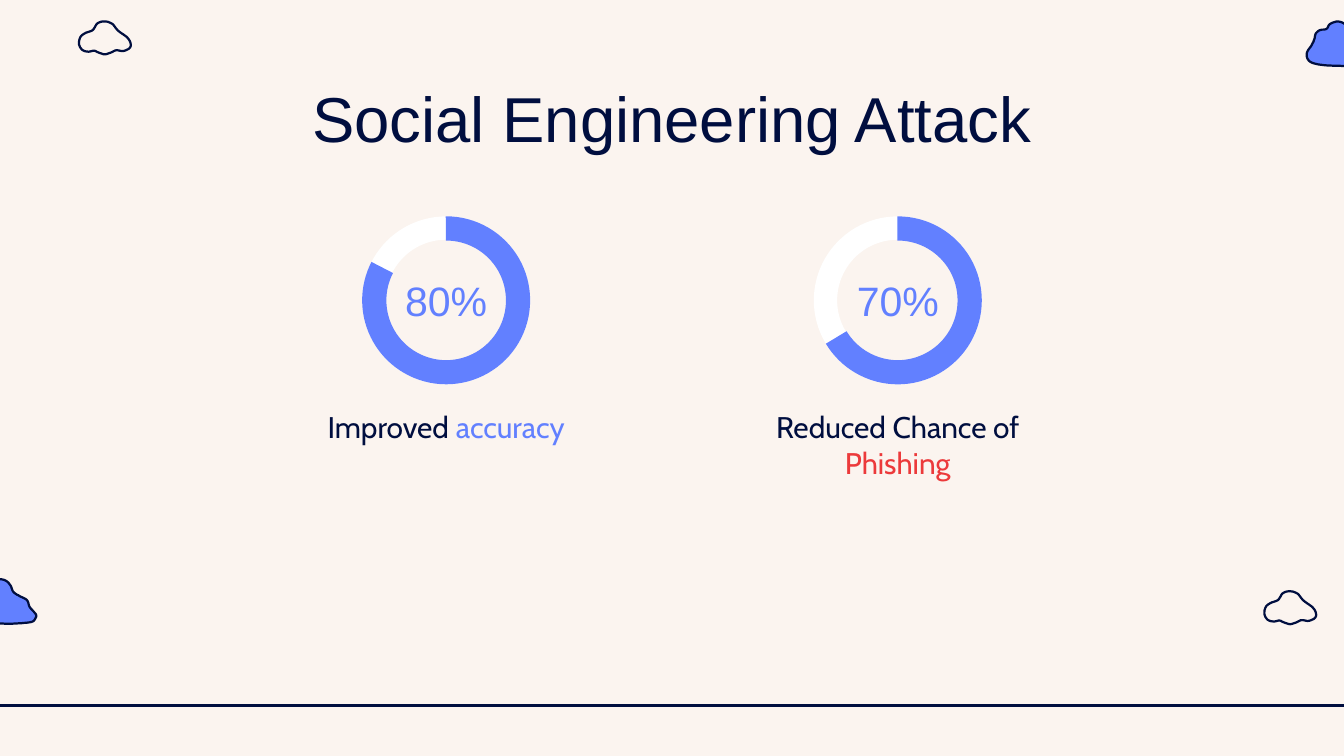
from lxml import etree
from pptx import Presentation
from pptx.dml.color import RGBColor
from pptx.enum.shapes import MSO_CONNECTOR, MSO_SHAPE
from pptx.enum.text import MSO_ANCHOR, PP_ALIGN
from pptx.oxml.ns import qn
from pptx.util import Inches, Pt

DONUT, ARC, STRAIGHT = MSO_SHAPE.DONUT, MSO_SHAPE.BLOCK_ARC, MSO_CONNECTOR.STRAIGHT
TOP, MIDDLE, CENTER = MSO_ANCHOR.TOP, MSO_ANCHOR.MIDDLE, PP_ALIGN.CENTER

COLORS = {"paper": "FBF4EF", "navy": "000E3F", "blue": "6280FF", "red": "EC3A3B", "white": "FFFFFF"}
TITLE = "Social Engineering Attack"
GAUGES = [
    {"percent": "80%", "start": 332.8, "label": [("Improved ", "navy"), ("accuracy", "blue")]},
    {"percent": "70%", "start": 31.1, "label": [("Reduced Chance of ", "navy"), ("Phishing", "red")]},
]
FULL_CLOUD = [(230, 0), (280, 15), (310, 50), (330, 95), (375, 125), (430, 155), (450, 205),
              (475, 235), (500, 270), (480, 310), (440, 322), (340, 330), (230, 330), (130, 325),
              (50, 310), (10, 280), (5, 230), (40, 175), (60, 130), (70, 90), (100, 65),
              (150, 55), (175, 20)]
OPEN_CLOUD = [(200, 10), (255, 28), (295, 75), (335, 105), (365, 128), (390, 165), (388, 205),
              (340, 230), (285, 225), (250, 240), (200, 255), (150, 240), (120, 228), (75, 235),
              (30, 220), (8, 175), (20, 125), (55, 97), (110, 75), (145, 25)]
CLOUDS = [
    (FULL_CLOUD, 9.72, 0.16, "blue"),
    (OPEN_CLOUD, 9.4, 4.39, None),
    (FULL_CLOUD, -0.23, 4.31, "blue"),
    (OPEN_CLOUD, 0.58, 0.15, None),
]
FIRST_CENTER, GAUGE_STEP = 3.32, 3.36
RING_TOP, RING_SIZE = 1.61, 1.25
CURVE_STEPS = 6


def color(name):
    return RGBColor.from_string(COLORS[name])


def smooth(knots):
    points = []
    for index, second in enumerate(knots):
        first = knots[index - 1]
        third = knots[(index + 1) % len(knots)]
        fourth = knots[(index + 2) % len(knots)]
        for step in range(CURVE_STEPS):
            t = step / CURVE_STEPS
            points.append(tuple(
                (2 * b + (c - a) * t + (2 * a - 5 * b + 4 * c - d) * t**2
                 + (3 * b - a - 3 * c + d) * t**3) / 2
                for a, b, c, d in zip(first, second, third, fourth)))
    return points


def add_cloud(page, knots, left, top, fill):
    points = smooth(knots)
    builder = page.shapes.build_freeform(*points[0], scale=Inches(1) / 1000)
    builder.add_line_segments(points[1:], close=True)
    cloud = builder.convert_to_shape(Inches(left), Inches(top))
    cloud.shadow.inherit = False
    if fill:
        cloud.fill.solid()
        cloud.fill.fore_color.rgb = color(fill)
    else:
        cloud.fill.background()
    cloud.line.color.rgb = color("navy")
    cloud.line.width = Pt(1.2)


def add_text(page, center, top, width, height, spans, size, font, anchor=TOP):
    box = page.shapes.add_textbox(Inches(center - width / 2), Inches(top), Inches(width), Inches(height))
    frame = box.text_frame
    frame.word_wrap = True
    frame.vertical_anchor = anchor
    frame.margin_left = frame.margin_right = frame.margin_top = frame.margin_bottom = Inches(0.1)
    para = frame.paragraphs[0]
    para.alignment = CENTER
    for text, name in spans:
        span = para.add_run()
        span.text = text
        span.font.size = Pt(size)
        span.font.name = font
        span.font.color.rgb = color(name)


def add_ring(page, kind, center, adjustments, fill):
    ring = page.shapes.add_shape(kind, Inches(center - RING_SIZE / 2), Inches(RING_TOP),
                                 Inches(RING_SIZE), Inches(RING_SIZE))
    for index, value in enumerate(adjustments):
        ring.adjustments[index] = value
    ring.shadow.inherit = False
    ring.fill.solid()
    ring.fill.fore_color.rgb = color(fill)
    ring.line.fill.background()
    return ring


def add_gauge(page, center, gauge):
    add_ring(page, DONUT, center, [0.139], "white")
    angles = [degrees * 0.6 for degrees in (gauge["start"], 270.3)]
    arc = add_ring(page, ARC, center, angles + [0.144], "blue")
    arc.element.spPr.find(qn("a:xfrm")).set("flipH", "1")
    add_text(page, center, 2.03, 1.39, 0.41, [(gauge["percent"], "blue")], 22, "Arial", MIDDLE)
    add_text(page, center, 2.94, 2.65, 0.53, gauge["label"], 16, "Cabin")


def main():
    deck = Presentation()
    deck.slide_width = Inches(10)
    deck.slide_height = deck.slide_width * 9 // 16
    page = deck.slides.add_slide(deck.slide_layouts[6])
    page.background.fill.solid()
    page.background.fill.fore_color.rgb = color("paper")

    ground = page.shapes.add_connector(STRAIGHT, 0, Inches(5.25), Inches(10), Inches(5.25))
    ground.line.color.rgb = color("navy")
    ground.line.width = Pt(1.5)
    etree.SubElement(ground.element.spPr, qn("a:effectLst"))

    for cloud in CLOUDS:
        add_cloud(page, *cloud)
    add_text(page, 5, 0.49, 8.43, 0.63, [(TITLE, "navy")], 34, "Arial")
    for index, gauge in enumerate(GAUGES):
        add_gauge(page, FIRST_CENTER + index * GAUGE_STEP, gauge)
    deck.save("out.pptx")


if __name__ == "__main__":
    main()
